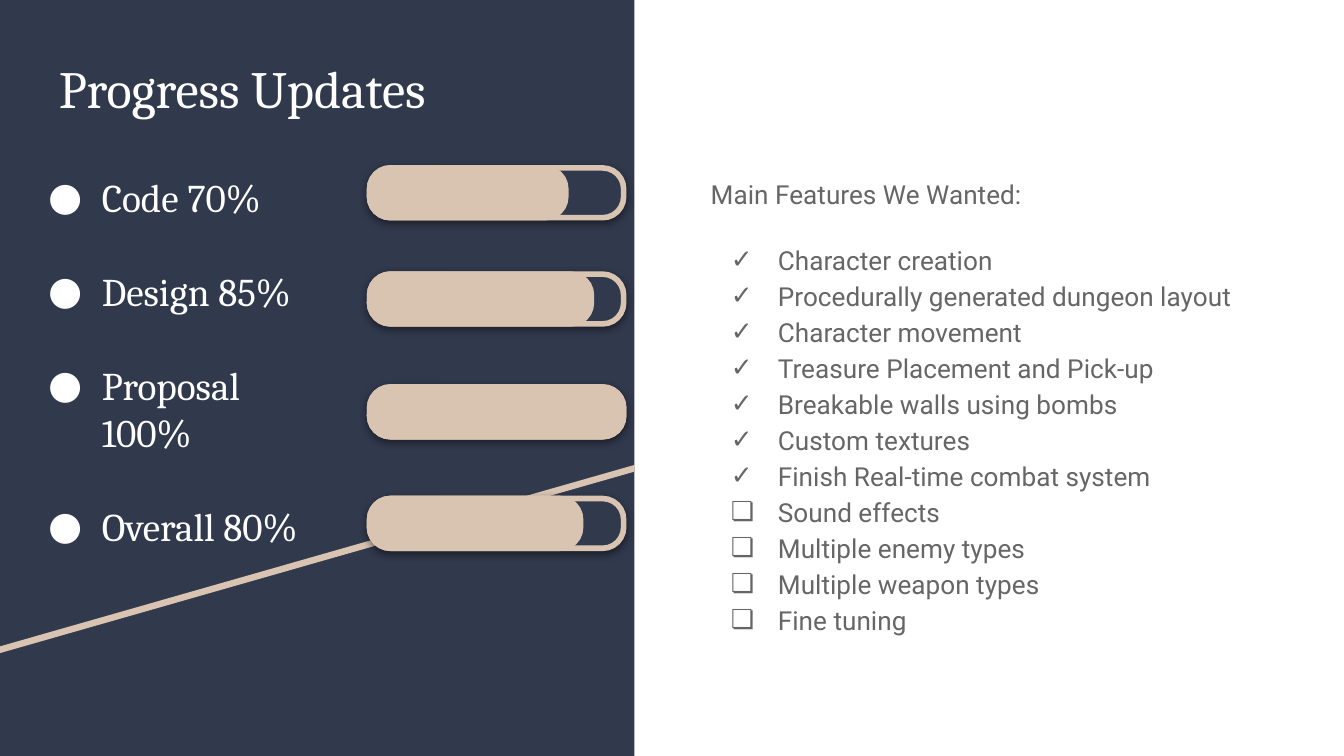
import pptx
import pptx.util
import pptx.dml.color
import pptx.enum.shapes
import pptx.enum.text
import pptx.oxml
import pptx.oxml.ns
from pptx.util import Inches, Pt

NAVY, SAND, WHITE, GREY = "31394D", "D9C4B1", "FFFFFF", "666666"
SERIF, SANS = "Cambria", "Roboto"

# Content: label, top of its bar, width of the filled part
heading = "Progress Updates"
progress = [
    ("Code 70%", 1.25, 1.46),
    ("Design 85%", 2.04, 1.65),
    ("Proposal\v100%", 2.88, 1.89),
    ("Overall 80%", 3.71, 1.57),
]
features_heading = "Main Features We Wanted:"
done = [
    "Character creation",
    "Procedurally generated dungeon layout",
    "Character movement",
    "Treasure Placement and Pick-up",
    "Breakable walls using bombs",
    "Custom textures",
    "Finish Real-time combat system",
]
to_do = ["Sound effects", "Multiple enemy types", "Multiple weapon types", "Fine tuning"]

SLIDE_W = 10
SLIDE_H = SLIDE_W * 9 / 16
PANEL_W = 4.72
BAR_LEFT, BAR_W, BAR_H = 2.75, 1.89, 0.37

deck = pptx.Presentation()
deck.slide_width, deck.slide_height = Inches(SLIDE_W), Inches(SLIDE_H)
slide = deck.slides.add_slide(deck.slide_layouts[6])


def color(value):
    return pptx.dml.color.RGBColor.from_string(value)


def paint(shape, fill, line=None):
    shape.shadow.inherit = False
    shape.fill.solid()
    shape.fill.fore_color.rgb = color(fill)
    if line:
        shape.line.color.rgb = color(line)
        shape.line.width = Pt(3)
    else:
        shape.line.fill.background()


def add_xml(parent, tag, body, attributes=""):
    ns = pptx.oxml.ns.nsdecls("a")
    parent.append(pptx.oxml.parse_xml(f"<a:{tag} {ns} {attributes}>{body}</a:{tag}>"))


def add_bar(top, width, fill):
    bar = slide.shapes.add_shape(
        pptx.enum.shapes.MSO_SHAPE.ROUNDED_RECTANGLE,
        Inches(BAR_LEFT), Inches(top), Inches(width), Inches(BAR_H))
    bar.adjustments[0] = 0.42
    paint(bar, fill, SAND)
    return bar


def add_shadow(shape):
    effects = shape._element.spPr.find(pptx.oxml.ns.qn("a:effectLst"))
    add_xml(effects, "outerShdw",
            '<a:srgbClr val="000000"><a:alpha val="50000"/></a:srgbClr>',
            f'blurRad="{Pt(4.5)}" dist="{Pt(1.5)}" dir="5400000" algn="bl" rotWithShape="0"')


def add_text(left, top, width, height, lines, font, size, text_color,
             indent=0, spacing=None):
    """Each line is (text, bullet or None, points of space before)."""
    frame = slide.shapes.add_textbox(
        Inches(left), Inches(top), Inches(width), Inches(height)).text_frame
    frame.word_wrap = True
    frame.margin_left = frame.margin_right = Inches(0.1)
    frame.margin_top = frame.margin_bottom = Inches(0.1)
    for i, (text, bullet, before) in enumerate(lines):
        line = frame.add_paragraph() if i else frame.paragraphs[0]
        line.text = text
        line.space_before = Pt(before)
        if spacing:
            line.line_spacing = spacing
        if bullet:
            props = line._p.get_or_add_pPr()
            props.set("marL", str(Inches(0.5)))
            props.set("indent", str(Inches(indent)))
            add_xml(props, "buClr", f'<a:srgbClr val="{text_color}"/>')
            add_xml(props, "buFont", "", f'typeface="{SANS}"')
            add_xml(props, "buChar", "", f'char="{bullet}"')
        line.font.name, line.font.size = font, Pt(size)
        line.font.color.rgb = color(text_color)


# Left panel and its diagonal stripe
panel = slide.shapes.add_shape(
    pptx.enum.shapes.MSO_SHAPE.RECTANGLE, 0, 0, Inches(PANEL_W), Inches(SLIDE_H))
paint(panel, NAVY)
corners = [(Inches(x), Inches(y)) for x, y in
           [(0, 4.81), (PANEL_W, 3.46), (PANEL_W, 3.51), (0, 4.86)]]
outline = slide.shapes.build_freeform(*corners[0])
outline.add_line_segments(corners[1:], close=True)
paint(outline.convert_to_shape(), SAND)

# Heading and progress labels
add_text(0.34, 0.32, 4.05, 0.73, [(heading, None, 0)], SERIF, 28, WHITE)
labels = [(label, "●", 25.2 if i else 0) for i, (label, _, _) in enumerate(progress)]
add_text(0.16, 1.19, 2.9, 3.34, labels, SERIF, 21, WHITE, indent=-0.4)

# Progress bars
for _, top, filled in progress:
    add_shadow(add_bar(top, BAR_W, NAVY))
    add_bar(top, filled, SAND)

# Feature checklist
features = [(text, "✓", 0 if i else 16) for i, text in enumerate(done)]
features += [(text, "❏", 0) for text in to_do]
add_text(5.19, 1.19, 4.56, 3.68, [(features_heading, None, 0)] + features,
         SANS, 14, GREY, indent=-0.35, spacing=1.15)

deck.save("out.pptx")
